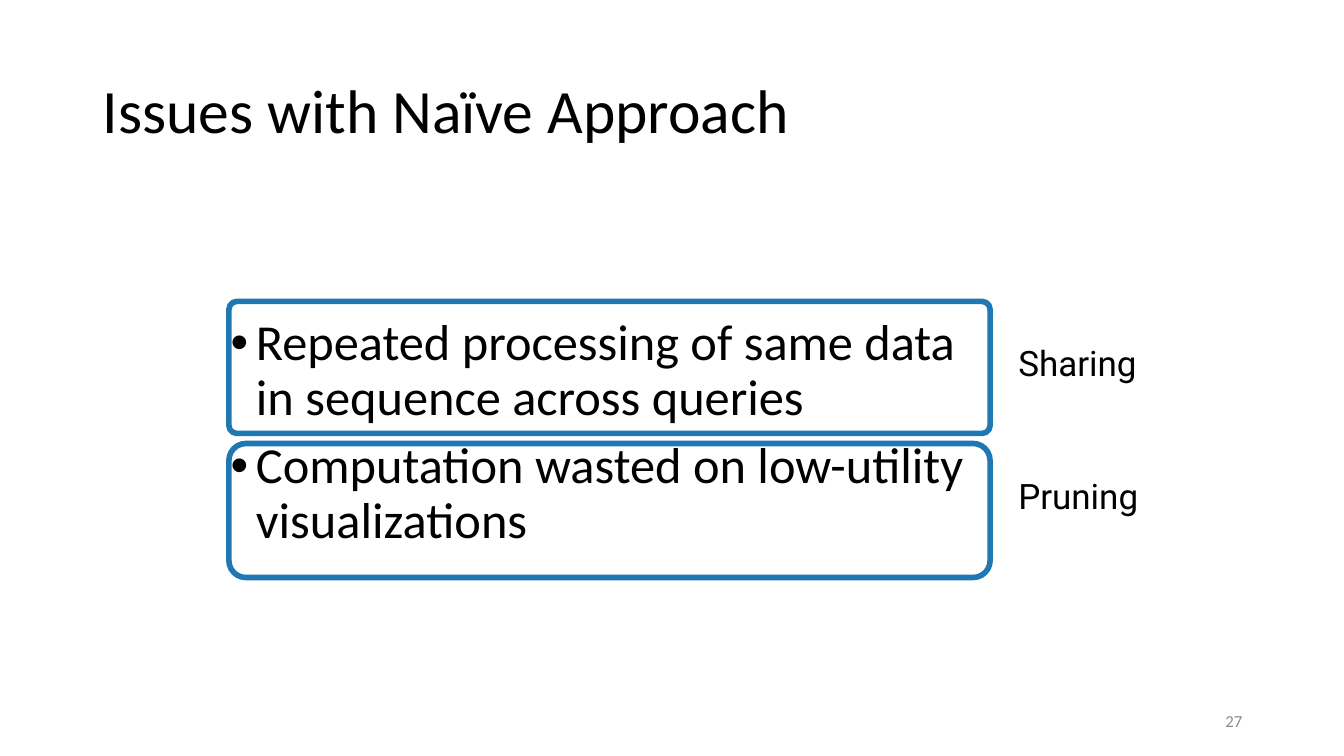
from dataclasses import dataclass

from pptx import Presentation
from pptx.dml.color import RGBColor
from pptx.enum.shapes import MSO_SHAPE
from pptx.enum.text import MSO_ANCHOR, PP_ALIGN
from pptx.oxml import parse_xml
from pptx.oxml.ns import nsdecls
from pptx.util import Inches, Pt


@dataclass(frozen=True)
class Theme:
    text: RGBColor = RGBColor(0x00, 0x00, 0x00)
    muted: RGBColor = RGBColor(0x8C, 0x8C, 0x8C)
    outline: RGBColor = RGBColor(0x1F, 0x78, 0xB4)
    body_font: str = "Calibri"
    label_font: str = "Roboto"
    title_size: int = 44
    body_size: int = 36
    label_size: int = 25
    number_size: int = 12


class SlideBuilder:
    def __init__(self, slide, theme):
        self.slide = slide
        self.theme = theme

    def text(self, box, lines, size, font=None, color=None, frame_format=None,
             paragraph_format=None):
        """Add a text box with one paragraph per line."""
        shape = self.slide.shapes.add_textbox(*map(Inches, box))
        frame = shape.text_frame
        frame.text = "\n".join(lines)
        for name, value in ({"word_wrap": True} | (frame_format or {})).items():
            setattr(frame, name, value)
        for paragraph in frame.paragraphs:
            for name, value in (paragraph_format or {}).items():
                setattr(paragraph, name, value)
            paragraph.font.name = font or self.theme.body_font
            paragraph.font.size = Pt(size)
            paragraph.font.color.rgb = color or self.theme.text
        return frame

    def bullets(self, box, lines, indent, gap):
        """Add a bulleted list with space between its items."""
        frame = self.text(box, lines, self.theme.body_size,
                          paragraph_format={"line_spacing": 0.9})
        for index, paragraph in enumerate(frame.paragraphs):
            paragraph.space_before = Pt(gap if index else 0)
            properties = paragraph._p.get_or_add_pPr()
            properties.set("marL", str(Inches(indent)))
            properties.set("indent", str(-Inches(indent)))
            for tag in (f'<a:buFont {nsdecls("a")} typeface="Arial"/>',
                        f'<a:buChar {nsdecls("a")} char="•"/>'):
                properties.append(parse_xml(tag))

    def frame(self, box, rounding):
        """Add an unfilled rounded outline."""
        shape = self.slide.shapes.add_shape(
            MSO_SHAPE.ROUNDED_RECTANGLE, *map(Inches, box))
        shape.adjustments[0] = rounding
        shape.shadow.inherit = False
        shape.fill.background()
        shape.line.color.rgb = self.theme.outline
        shape.line.width = Pt(4)

    def label(self, box, wording):
        """Add a remedy label beside an outline."""
        margins = {f"margin_{side}": Inches(0.04)
                   for side in ("left", "right", "top", "bottom")}
        self.text(box, [wording], self.theme.label_size, self.theme.label_font,
                  frame_format=margins | {"word_wrap": False,
                                          "vertical_anchor": MSO_ANCHOR.MIDDLE})


def main():
    presentation = Presentation()
    presentation.slide_width = Inches(13.33)
    presentation.slide_height = Inches(7.5)
    slide = presentation.slides.add_slide(presentation.slide_layouts[6])
    theme = Theme()
    builder = SlideBuilder(slide, theme)
    middle = {"vertical_anchor": MSO_ANCHOR.MIDDLE}

    # Title and slide number
    builder.text((0.92, 0.4, 11.5, 1.45), ["Issues with Naïve Approach"],
                 theme.title_size, frame_format=middle,
                 paragraph_format={"line_spacing": 0.9})
    builder.text((9.42, 6.95, 3, 0.4), ["27"], theme.number_size,
                 color=theme.muted, frame_format=middle,
                 paragraph_format={"alignment": PP_ALIGN.RIGHT})

    # Issues
    builder.bullets((2.19, 3.1, 7.63, 3.35), [
        "Repeated processing of same data in sequence across queries",
        "Computation wasted on low-utility visualizations",
    ], indent=0.25, gap=10)

    # Outline and remedy for each issue
    for remedy, top, height, rounding, label_top in (
        ("Sharing", 2.99, 1.31, 0.061, 3.35),
        ("Pruning", 4.4, 1.33, 0.127, 4.67),
    ):
        builder.frame((2.27, top, 7.55, height), rounding)
        builder.label((10.06, label_top, 1.3, 0.5), remedy)

    presentation.save("out.pptx")


if __name__ == "__main__":
    main()
